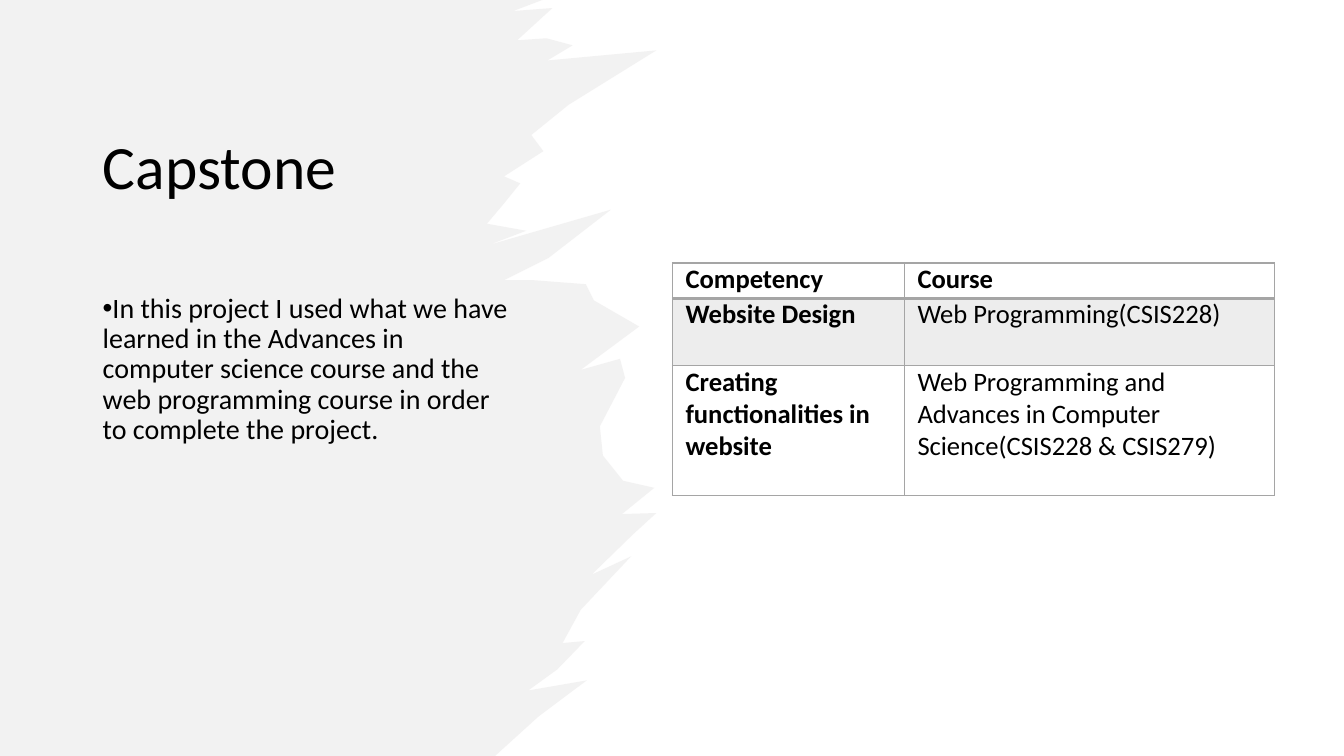
from lxml.etree import SubElement
from pptx import Presentation
from pptx.dml.color import RGBColor
from pptx.enum.text import MSO_ANCHOR
from pptx.oxml.ns import qn
from pptx.util import Inches, Pt

THEME = {
    "font": "Calibri",
    "text": RGBColor.from_string("000000"),
    "brush": RGBColor.from_string("E7E6E6"),
    "grid": RGBColor.from_string("A5A5A5"),
    "title": Pt(44),
    "body": Pt(20),
    "table": Pt(19),
}
BRUSH_EDGE = [
    (4.91, 7.5), (5.34, 7.11), (5.82, 6.75), (5.24, 6.85), (5.53, 6.64), (5.8, 6.36),
    (5.58, 6.38), (5.76, 6.05), (6.26, 5.52), (5.87, 5.7), (6.27, 5.31), (6.51, 5.09),
    (6.17, 5.1), (6.49, 4.84), (6.18, 4.77), (5.98, 4.52), (5.95, 4.23), (6.2, 3.75),
    (6.15, 3.56), (5.76, 3.67), (6.34, 3.24), (5.89, 2.98), (5.81, 2.82), (5.29, 2.78),
    (5, 2.78), (5.44, 2.56), (6.06, 2.08), (4.85, 2.43), (5.22, 2.29), (4.83, 2.22),
    (4.99, 2.03), (5.16, 1.82), (5, 1.75), (5.39, 1.5), (5.27, 1.34), (5.64, 1.04),
    (6.51, 0.5), (5.43, 0.6), (5.68, 0.45), (5.42, 0.38), (5.13, 0.4), (5.48, 0.08),
    (5.09, 0.11), (5.38, 0),
]
ROWS = [
    ("Competency", "Course"),
    ("Website Design", "Web Programming(CSIS228)"),
    ("Creating functionalities in website",
     "Web Programming and Advances in Computer Science(CSIS228 & CSIS279)"),
]


def write(tf, text, size, bold=False):
    p = tf.paragraphs[0]
    r = p.add_run()
    r.text = text
    for name, value in {"name": THEME["font"], "size": size, "bold": bold}.items():
        setattr(r.font, name, value)
    r.font.color.rgb = THEME["text"]
    return p


def tint(fill, color, parent, percent):
    fill.solid()
    fill.fore_color.rgb = color
    rgb = parent.find(qn("a:solidFill")).find(qn("a:srgbClr"))
    SubElement(rgb, qn("a:alpha"), val=str(percent * 1000))


prs = Presentation()
prs.slide_width, prs.slide_height = Inches(13.33), Inches(7.5)
s = prs.slides.add_slide(prs.slide_layouts[6])

builder = s.shapes.build_freeform(0, 0)
edge = [(Inches(x), Inches(y)) for x, y in BRUSH_EDGE]
builder.add_line_segments([(0, prs.slide_height)] + edge, close=True)
sp = builder.convert_to_shape()
sp.shadow.inherit = False
tint(sp.fill, THEME["brush"], sp._element.spPr, 50)
sp.line.fill.background()

paragraphs = []
for top, height, anchor, size, text in [
    (0.7, 1.97, MSO_ANCHOR.MIDDLE, THEME["title"], "Capstone"),
    (2.87, 3.89, MSO_ANCHOR.TOP, THEME["body"],
     "In this project I used what we have learned in the Advances in computer "
     "science course and the web programming course in order to complete the project."),
]:
    tf = s.shapes.add_textbox(Inches(0.92), Inches(top), Inches(4.25), Inches(height)).text_frame
    tf.word_wrap = True
    tf.vertical_anchor = anchor
    p = write(tf, text, size)
    p.line_spacing = 0.9
    paragraphs.append(p)

p = paragraphs[-1]
p.space_after = Pt(6)
pPr = p._p.get_or_add_pPr()
pPr.set("marL", "0")
pPr.set("indent", str(-Inches(0.25)))
SubElement(pPr, qn("a:buFont"), typeface="Arial")
SubElement(pPr, qn("a:buChar"), char="•")

table = s.shapes.add_table(3, 2, Inches(6.67), Inches(2.61), Inches(5.97), Inches(2.31)).table
table.first_row = table.horz_banding = False
for column, width in zip(table.columns, (2.3, 3.67)):
    column.width = Inches(width)
for row, height in zip(table.rows, (0.35, 0.67, 1.29)):
    row.height = Inches(height)

for i, texts in enumerate(ROWS):
    for j, text in enumerate(texts):
        cell = table.cell(i, j)
        margins = {"margin_left": 0.13, "margin_right": 0.13, "margin_top": 0, "margin_bottom": 0}
        for name, value in margins.items():
            setattr(cell, name, Inches(value))
        write(cell.text_frame, text, THEME["table"], i == 0 or j == 0)
        tcPr = cell._tc.get_or_add_tcPr()
        for side in ("lnL", "lnR", "lnT", "lnB"):
            heavy = (i, side) in ((0, "lnB"), (1, "lnT"))
            ln = SubElement(tcPr, qn("a:" + side), w=str(Pt(2 if heavy else 1)))
            SubElement(SubElement(ln, qn("a:solidFill")), qn("a:srgbClr"), val=str(THEME["grid"]))
        if i == 1:
            tint(cell.fill, THEME["grid"], tcPr, 20)
        else:
            cell.fill.background()

prs.save("out.pptx")
